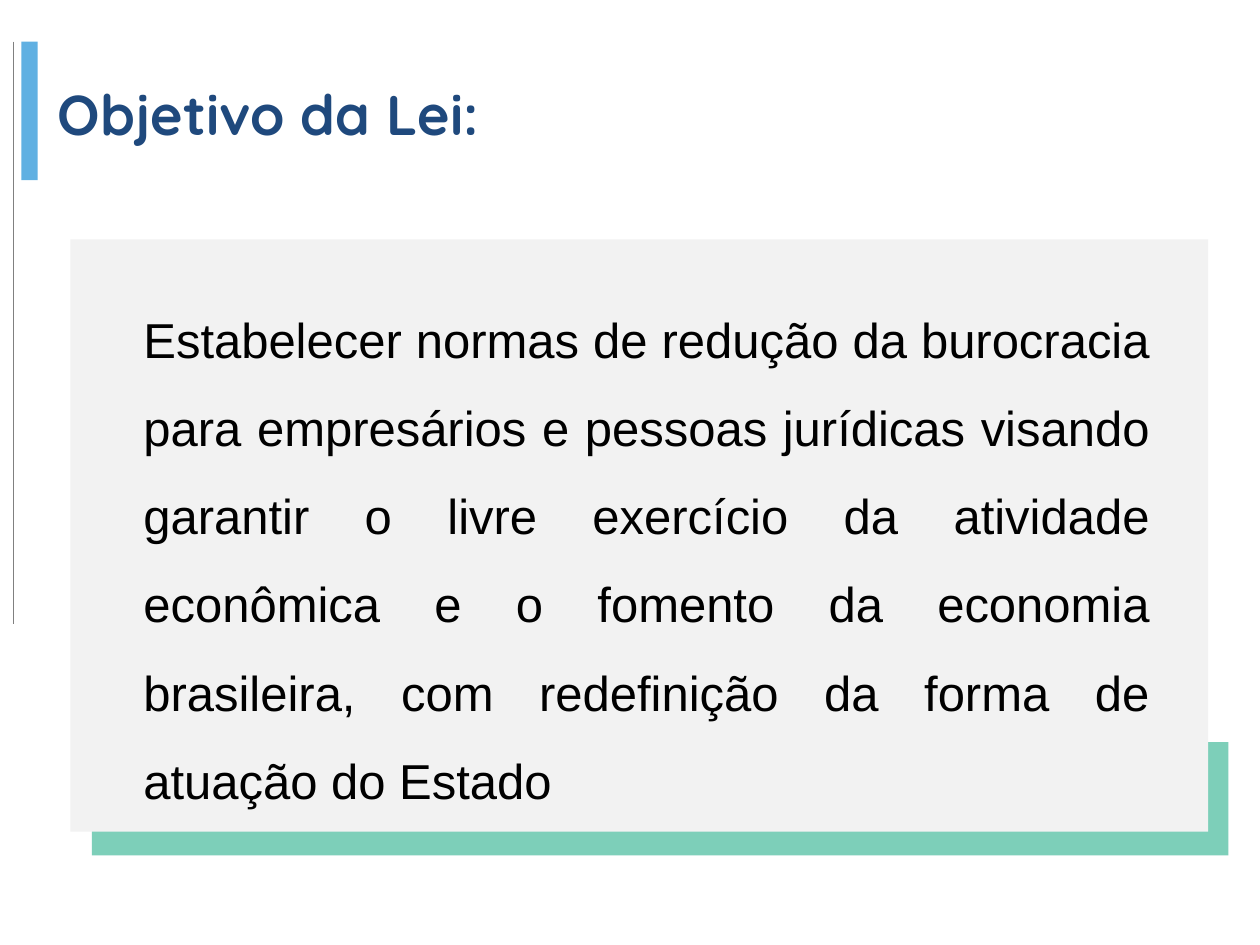
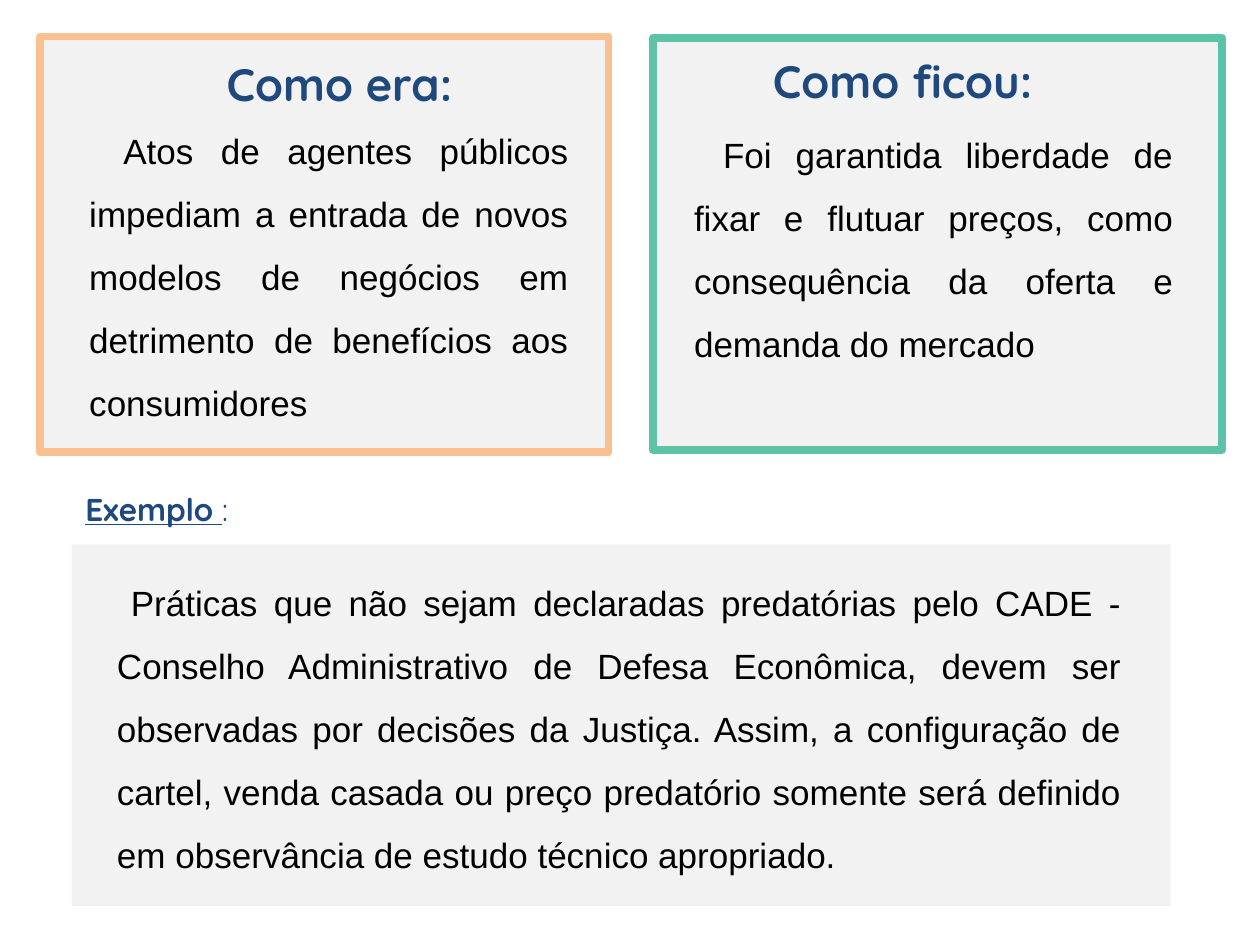
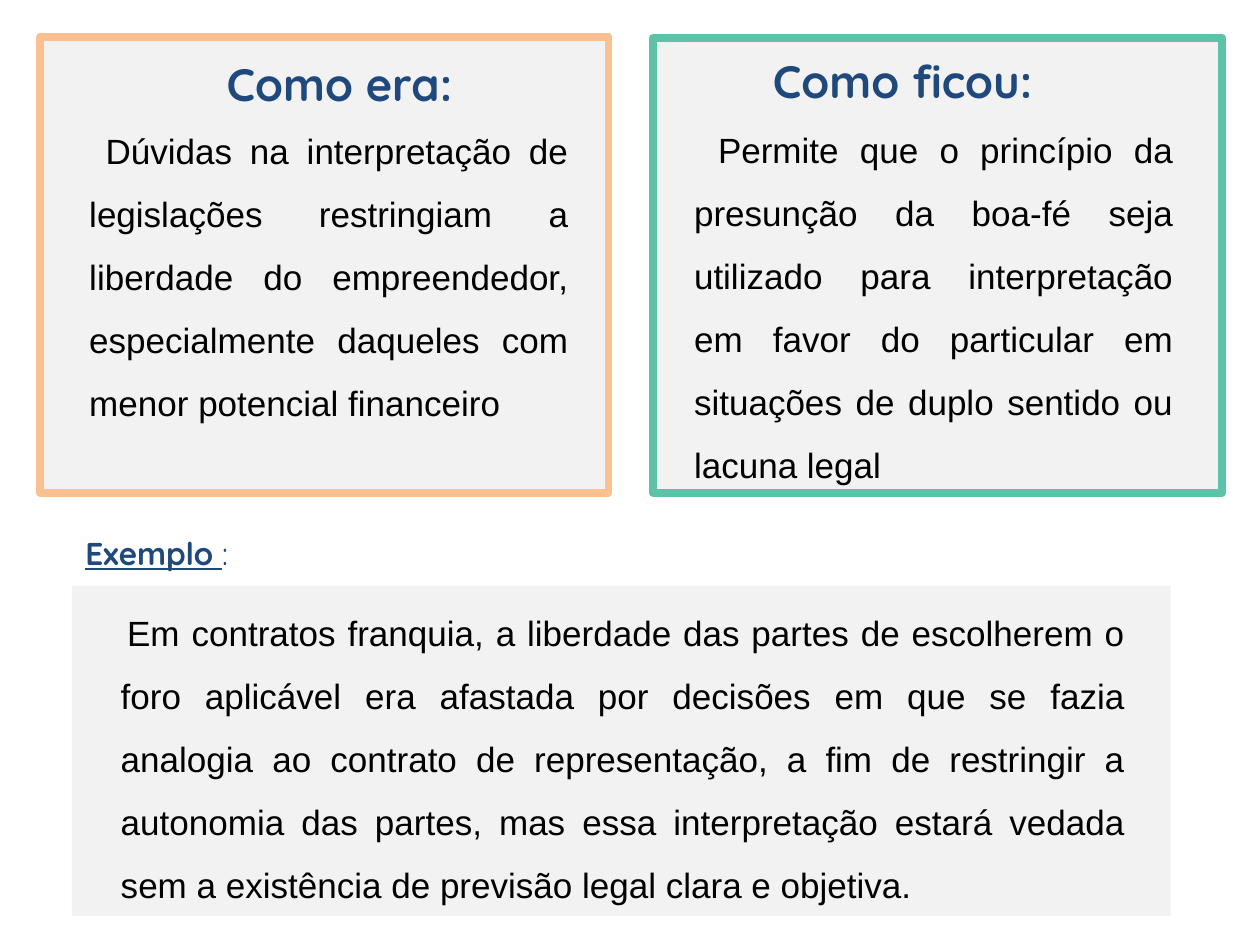
from dataclasses import dataclass

from lxml import etree
from pptx import Presentation
from pptx.dml.color import RGBColor
from pptx.enum import shapes, text
from pptx.oxml.ns import qn
from pptx.util import Inches, Pt


@dataclass(frozen=True)
class Theme:
    navy: str = "1F497D"
    blue: str = "60B0E2"
    green: str = "5DC3A8"
    orange: str = "FAC090"
    panel: str = "F2F2F2"
    rule: str = "808080"
    ink: str = "000000"
    heading_font: str = "Quicksand"
    body_font: str = "Arial"
    title_size: float = 32
    objective_size: float = 28
    heading_size: float = 26
    body_size: float = 20
    label_size: float = 18
    border_width: float = 4.5
    rule_width: float = 0.75


@dataclass(frozen=True)
class Box:
    left: float
    top: float
    width: float
    height: float

    def lengths(self) -> tuple:
        return tuple(Inches(v) for v in (self.left, self.top, self.width, self.height))


@dataclass(frozen=True)
class Passage:
    """Justified text; first_line is its extra first-line indent in inches."""
    words: str
    box: Box
    first_line: float = 0


@dataclass(frozen=True)
class Side:
    heading: str
    heading_box: Box
    frame: Box
    border: str
    passage: Passage


@dataclass(frozen=True)
class Comparison:
    before: Side
    after: Side
    example_label_top: float
    example_panel: Box
    example: Passage


THEME = Theme()
BODY_WIDTH = 4.15
EXAMPLE_LEFT, EXAMPLE_WIDTH = 0.57, 8.72
HANGING = 0.15


def style(font, name: str, size: float, color: str, bold: bool = False) -> None:
    font.name, font.size, font.bold = name, Pt(size), bold
    font.color.rgb = RGBColor.from_string(color)


def add_panel(slide, box: Box, fill: str, border: str | None = None, opacity: int = 100) -> None:
    panel = slide.shapes.add_shape(shapes.MSO_SHAPE.RECTANGLE, *box.lengths())
    panel.shadow.inherit = False
    panel.fill.solid()
    panel.fill.fore_color.rgb = RGBColor.from_string(fill)
    if opacity < 100:
        color = panel.fill._xPr.find(f".//{qn('a:srgbClr')}")
        etree.SubElement(color, qn("a:alpha"), val=str(opacity * 1000))
    if border:
        panel.line.color.rgb = RGBColor.from_string(border)
        panel.line.width = Pt(THEME.border_width)
    else:
        panel.line.fill.background()


def add_paragraph_box(slide, box: Box, align, anchor=text.MSO_ANCHOR.MIDDLE):
    """Add a wrapping text box and return its only paragraph."""
    frame = slide.shapes.add_textbox(*box.lengths()).text_frame
    frame.word_wrap = True
    frame.auto_size = text.MSO_AUTO_SIZE.SHAPE_TO_FIT_TEXT
    frame.vertical_anchor = anchor
    paragraph = frame.paragraphs[0]
    paragraph.alignment = align
    paragraph.space_after = Pt(6)
    return paragraph


def add_passage(slide, passage: Passage, size: float = THEME.body_size) -> None:
    paragraph = add_paragraph_box(slide, passage.box, text.PP_ALIGN.JUSTIFY)
    paragraph.line_spacing = 1.5
    properties = paragraph._p.get_or_add_pPr()
    properties.set("marL", str(Inches(HANGING)))
    properties.set("indent", str(Inches(passage.first_line)))
    paragraph.text = passage.words
    style(paragraph.font, THEME.body_font, size, THEME.ink)


def add_heading(slide, words: str, box: Box) -> None:
    paragraph = add_paragraph_box(slide, box, text.PP_ALIGN.CENTER)
    paragraph.line_spacing = 1.5
    paragraph.text = words
    style(paragraph.font, THEME.heading_font, THEME.heading_size, THEME.navy, bold=True)


def add_example_label(slide, top: float) -> None:
    box = Box(EXAMPLE_LEFT + 0.01, top, EXAMPLE_WIDTH, 0.4)
    paragraph = add_paragraph_box(slide, box, text.PP_ALIGN.JUSTIFY, text.MSO_ANCHOR.TOP)
    style(paragraph.font, THEME.heading_font, THEME.label_size, THEME.navy)
    for words, emphasized in (("Exemplo ", True), (":", False)):
        run = paragraph.add_run()
        run.text = words
        run.font.bold = run.font.underline = emphasized


def add_vertical_rule(slide, x: float, top: float, bottom: float) -> None:
    rule = slide.shapes.add_connector(
        shapes.MSO_CONNECTOR.STRAIGHT, Inches(x), Inches(top), Inches(x), Inches(bottom))
    rule.line.color.rgb = RGBColor.from_string(THEME.rule)
    rule.line.width = Pt(THEME.rule_width)
    etree.SubElement(rule._element.spPr, qn("a:effectLst"))


def set_title(slide, words: str, box: Box) -> None:
    title = slide.shapes.title
    title.left, title.top, title.width, title.height = box.lengths()
    title.text_frame.vertical_anchor = text.MSO_ANCHOR.MIDDLE
    paragraph = title.text_frame.paragraphs[0]
    paragraph.text = words
    paragraph.alignment = text.PP_ALIGN.LEFT
    paragraph.line_spacing = 0.8
    style(paragraph.font, THEME.heading_font, THEME.title_size, THEME.navy, bold=True)


def add_objective_slide(deck) -> None:
    slide = deck.slides.add_slide(deck.slide_layouts.get_by_name("Title Only"))
    set_title(slide, "Objetivo da Lei:", Box(0.36, 0.68, 9.36, 0.53))
    add_panel(slide, Box(0.73, 5.89, 9.02, 0.9), THEME.green, opacity=80)
    add_panel(slide, Box(0.56, 1.9, 9.03, 4.7), THEME.panel)
    add_panel(slide, Box(0.17, 0.33, 0.13, 1.1), THEME.blue)
    add_vertical_rule(slide, 0.11, 0.33, 4.95)
    add_passage(slide, Passage(
        "Estabelecer normas de redução da burocracia para empresários e pessoas jurídicas "
        "visando garantir o livre exercício da atividade econômica e o fomento da economia "
        "brasileira, com redefinição da forma de atuação do Estado",
        Box(0.89, 2.17, 8.33, 4.3)), THEME.objective_size)


def before_side(height: float, words: str, first_line: float) -> Side:
    return Side("Como era:", Box(0.8, 0.21, 3.79, 0.68), Box(0.32, 0.29, 4.51, height),
                THEME.orange, Passage(words, Box(0.46, 0.8, BODY_WIDTH, 2.63), first_line))


def after_side(height: float, words: str, top: float, text_height: float,
               first_line: float) -> Side:
    return Side("Como ficou:", Box(5.27, 0.19, 3.79, 0.68), Box(5.18, 0.3, 4.52, height),
                THEME.green, Passage(words, Box(5.26, top, BODY_WIDTH, text_height), first_line))


def add_comparison_slide(deck, comparison: Comparison) -> None:
    slide = deck.slides.add_slide(deck.slide_layouts.get_by_name("Blank"))
    for side in (comparison.before, comparison.after):
        add_panel(slide, side.frame, THEME.panel, side.border)
        add_heading(slide, side.heading, side.heading_box)
        add_passage(slide, side.passage)
    add_panel(slide, comparison.example_panel, THEME.panel)
    add_example_label(slide, comparison.example_label_top)
    add_passage(slide, comparison.example)


COMPARISONS = (
    Comparison(
        before_side(
            3.3,
            "Atos de agentes públicos impediam a entrada de novos modelos de negócios em "
            "detrimento de benefícios aos consumidores", 0.27),
        after_side(
            3.27,
            "Foi garantida liberdade de fixar e flutuar preços, como consequência da oferta "
            "e demanda do mercado", 0.83, 2.12, 0.23),
        3.84,
        Box(EXAMPLE_LEFT, 4.32, EXAMPLE_WIDTH, 2.87),
        Passage(
            "Práticas que não sejam declaradas predatórias pelo CADE - Conselho Administrativo "
            "de Defesa Econômica, devem ser observadas por decisões da Justiça. Assim, a "
            "configuração de cartel, venda casada ou preço predatório somente será definido "
            "em observância de estudo técnico apropriado.",
            Box(0.68, 4.38, 8.32, 2.63), 0.11)),
    Comparison(
        before_side(
            3.62,
            "Dúvidas na interpretação de legislações restringiam a liberdade do empreendedor, "
            "especialmente daqueles com menor potencial financeiro", 0.13),
        after_side(
            3.61,
            "Permite que o princípio da presunção da boa-fé seja utilizado para interpretação "
            "em favor do particular em situações de duplo sentido ou lacuna legal",
            0.79, 3.13, 0.19),
        4.19,
        Box(EXAMPLE_LEFT, 4.65, EXAMPLE_WIDTH, 2.62),
        Passage(
            "Em contratos franquia, a liberdade das partes de escolherem o foro aplicável era "
            "afastada por decisões em que se fazia analogia ao contrato de representação, a fim "
            "de restringir a autonomia das partes, mas essa interpretação estará vedada sem a "
            "existência de previsão legal clara e objetiva.",
            Box(0.71, 4.62, 8.32, 2.63), 0.05)),
)


def main() -> None:
    deck = Presentation()
    deck.slide_width, deck.slide_height = Inches(10), Inches(7.5)
    add_objective_slide(deck)
    for comparison in COMPARISONS:
        add_comparison_slide(deck, comparison)
    deck.save("out.pptx")


if __name__ == "__main__":
    main()
